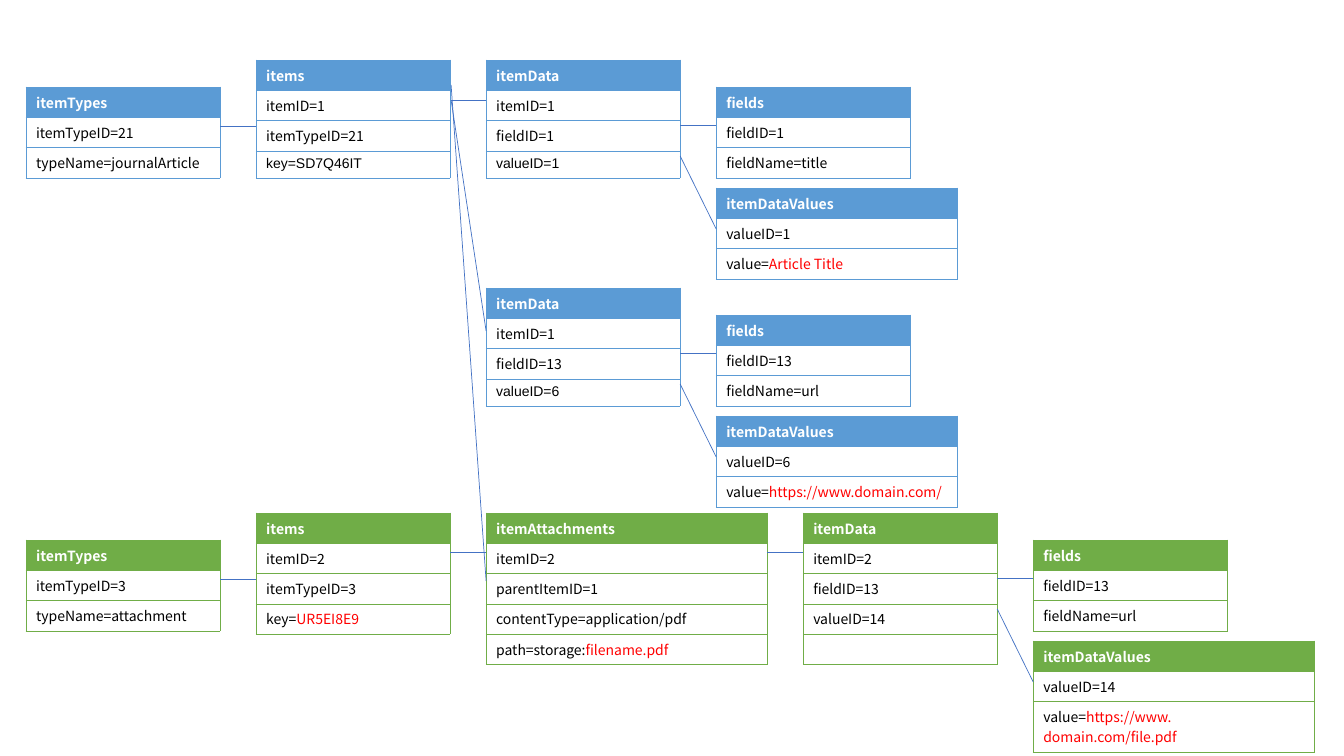
from lxml import etree
from pptx import Presentation
from pptx import util as u
from pptx.dml.color import RGBColor
from pptx.enum import shapes
from pptx.oxml import ns

BLUE, GREEN, LINK = "5B9BD5", "70AD47", "4472C4"
WHITE, BLACK, RED = "FFFFFF", "000000", "FF0000"
SANS, ARIAL = "Noto Sans CJK KR", "Arial"
PITCH, WIDTH, ROW, STEP = 230, 194, 27, 27


def px(count):
    return u.Emu(round(count * 914400 / 100.8))


def colour(code):
    return RGBColor.from_string(code)


class SchemaPage:
    """Draws linked database records on one slide."""

    def __init__(self, deck):
        self.page = deck.slides.add_slide(deck.slide_layouts[6])
        self.size = u.Pt(10)
        self.line_width = u.Pt(0.5)

    def border(self, cell, code):
        properties = cell._tc.get_or_add_tcPr()
        for side in ("lnL", "lnR", "lnT", "lnB"):
            edge = etree.SubElement(properties, ns.qn(f"a:{side}"), w=str(self.line_width))
            fill = etree.SubElement(edge, ns.qn("a:solidFill"))
            etree.SubElement(fill, ns.qn("a:srgbClr"), val=code)

    def label(self, cell, content, ink, bold, font):
        para = cell.text_frame.paragraphs[0]
        if not content:
            ending = etree.SubElement(para._p, ns.qn("a:endParaRPr"), sz="1000")
            etree.SubElement(ending, ns.qn("a:latin"), typeface=font)
            return
        for words, code in zip(content.split("|"), (ink, RED)):
            span = para.add_run()
            span.text = words
            span.font.size = self.size
            span.font.name = font
            span.font.bold = bold
            span.font.color.rgb = colour(code)

    def record(self, left, top, theme, rows, width=WIDTH, last_font=SANS):
        frame = self.page.shapes.add_table(
            len(rows), 1, px(left), px(top), px(width), px(ROW * len(rows)))
        table = frame.table
        table.horz_banding = False
        for index, content in enumerate(rows):
            header = index == 0
            cell = table.cell(index, 0)
            self.border(cell, theme)
            cell.fill.solid()
            cell.fill.fore_color.rgb = colour(theme if header else WHITE)
            font = last_font if index == len(rows) - 1 else SANS
            self.label(cell, content, WHITE if header else BLACK, header, font)

    def link(self, x1, y1, x2, y2):
        line = self.page.shapes.add_connector(
            shapes.MSO_CONNECTOR.STRAIGHT, px(x1), px(y1), px(x2), px(y2))
        line.line.color.rgb = colour(LINK)
        line.line.width = self.line_width
        etree.SubElement(line._element.spPr, ns.qn("a:effectLst"))

    def item(self, top, theme, type_id, type_name, item_id, key, key_font=SANS):
        left = 26
        self.record(left, top + STEP, theme,
                    ["itemTypes", f"itemTypeID={type_id}", f"typeName={type_name}"])
        self.record(left + PITCH, top, theme,
                    ["items", f"itemID={item_id}", f"itemTypeID={type_id}", f"key={key}"],
                    last_font=key_font)
        self.link(left + WIDTH, top + 66, left + PITCH, top + 66)

    def data(self, left, top, theme, item_id, field, value, width, spare=(), id_font=SANS):
        field_id, field_name = field
        value_id, value_text = value
        beside = left + PITCH
        self.record(left, top, theme,
                    ["itemData", f"itemID={item_id}", f"fieldID={field_id}",
                     f"valueID={value_id}", *spare], last_font=id_font)
        self.record(beside, top + STEP, theme,
                    ["fields", f"fieldID={field_id}", f"fieldName={field_name}"])
        self.record(beside, top + 128, theme,
                    ["itemDataValues", f"valueID={value_id}", f"value=|{value_text}"], width)
        self.link(left + WIDTH, top + 65, beside, top + 65)
        self.link(left + WIDTH, top + 96, beside, top + 169)


def main():
    deck = Presentation()
    deck.slide_width, deck.slide_height = u.Inches(13.33), u.Inches(7.5)
    schema = SchemaPage(deck)

    schema.item(60, BLUE, 21, "journalArticle", 1, "SD7Q46IT", ARIAL)
    schema.data(486, 60, BLUE, 1, (1, "title"), (1, "Article Title"), 241, id_font=ARIAL)
    schema.data(486, 288, BLUE, 1, (13, "url"), (6, "https://www.domain.com/"), 241,
                id_font=ARIAL)

    schema.item(513, GREEN, 3, "attachment", 2, "|UR5EI8E9")
    schema.record(486, 513, GREEN,
                  ["itemAttachments", "itemID=2", "parentItemID=1",
                   "contentType=application/pdf", "path=storage:|filename.pdf"], 281)
    schema.data(803, 513, GREEN, 2, (13, "url"), (14, "https://www. domain.com/file.pdf"),
                281, spare=[""])

    for ends in [(451, 100, 486, 100), (451, 100, 486, 331), (451, 85, 486, 581),
                 (450, 552, 486, 552), (767, 552, 803, 552)]:
        schema.link(*ends)
    deck.save("out.pptx")


if __name__ == "__main__":
    main()
